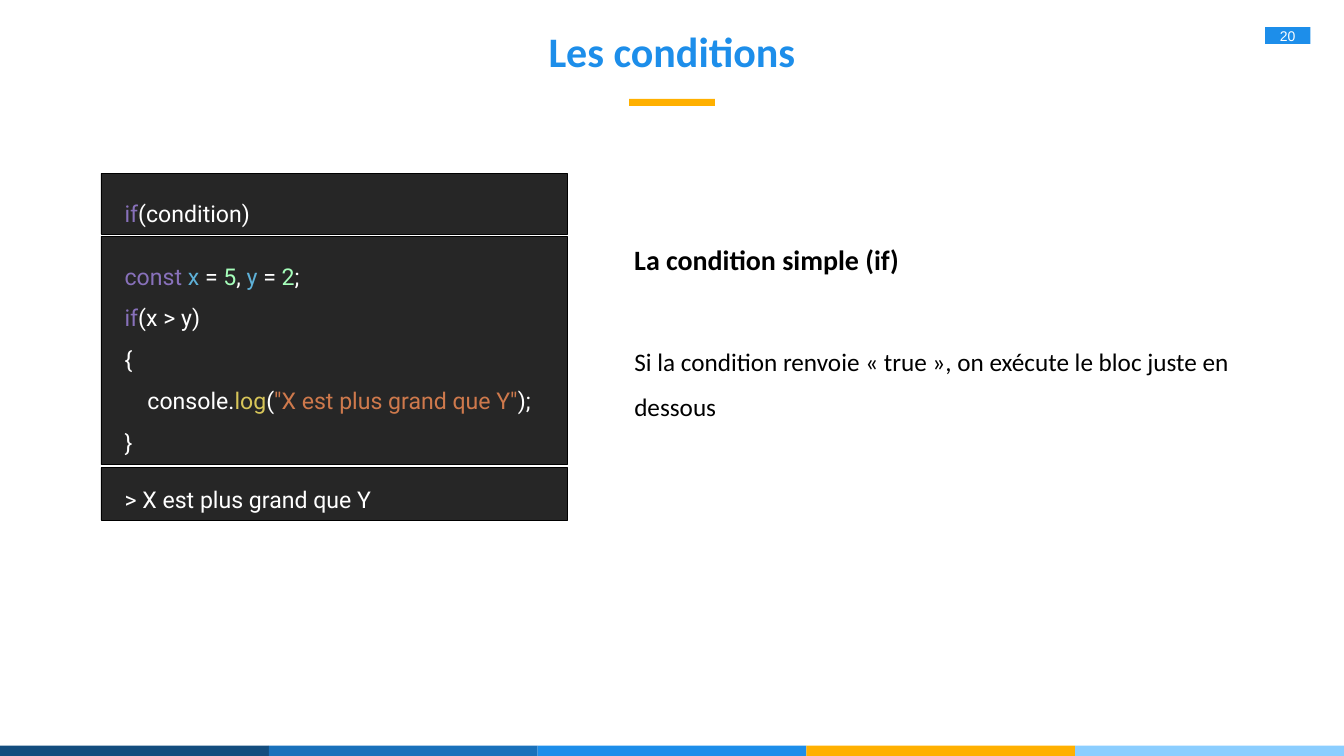
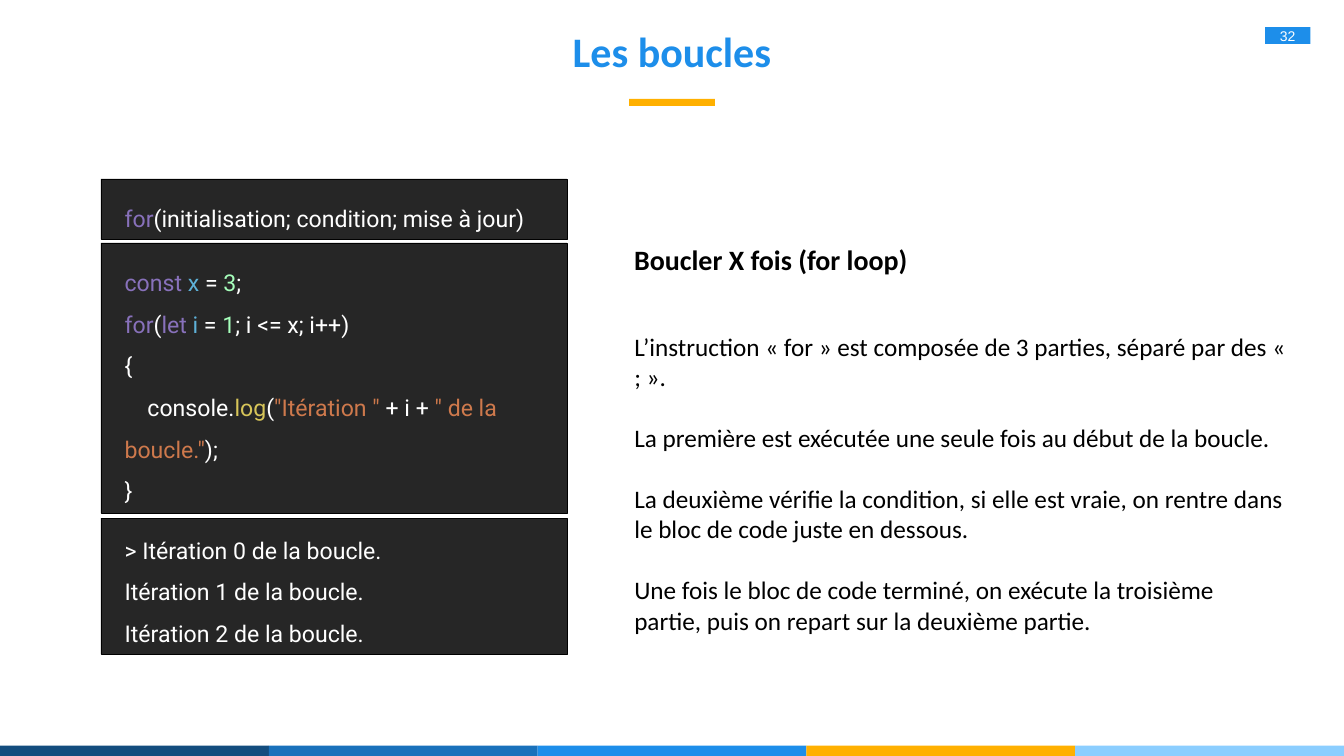
from pptx import Presentation
from pptx.dml.color import RGBColor
from pptx.enum import shapes, text
from pptx.util import Pt

WIDE, HIGH = 1920, 1080
HEX = {
    "navy": "134D7E", "mid": "1971BB", "blue": "1D8EEA", "gold": "FFB000",
    "sky": "8BCEFF", "white": "FFFFFF", "black": "000000", "panel": "262626",
    "key": "8871BB", "var": "5EB1D8", "num": "A6FFBB", "call": "D7C559",
    "str": "CE794C",
}
BANDS = ["navy", "mid", "blue", "gold", "sky"]

SLIDES = [
    {
        "title": "Les conditions",
        "page": "20",
        "panels": [
            (247.7, 86.4, 17, [[("if", "key"), ("(condition)", "white")]]),
            (337.7, 326.2, 17, [
                [("const ", "key"), ("x", "var"), (" = ", "white"),
                 ("5", "num"), (", ", "white"), ("y", "var"),
                 (" = ", "white"), ("2", "num"), (";", "white")],
                [("if", "key"), ("(x > y)", "white")],
                "{",
                [("    console.", "white"), ("log", "call"), ("(", "white"),
                 ('"X est plus grand que Y"', "str"), (");", "white")],
                "}",
            ]),
            (668.2, 74.9, 5.76, ["> X est plus grand que Y"]),
        ],
        "head": "La condition simple (if)",
        "body": ["Si la condition renvoie « true », on exécute le bloc juste en dessous"],
        "size": (960, 131),
        "pitch": 1.5,
    },
    {
        "title": "Les boucles",
        "page": "32",
        "panels": [
            (255.6, 86.4, 17, [
                [("for", "key"), ("(initialisation; condition; mise à jour)", "white")],
            ]),
            (347, 386, 17, [
                [("const ", "key"), ("x", "var"), (" = ", "white"),
                 ("3", "num"), (";", "white")],
                [("for", "key"), ("(", "white"), ("let ", "key"), ("i", "var"),
                 (" = ", "white"), ("1", "num"), ("; i <= x; i++)", "white")],
                "{",
                [("    console.", "white"), ("log", "call"), ("(", "white"),
                 ('"Itération "', "str"), (" + i + ", "white"),
                 ('" de la boucle."', "str"), (");", "white")],
                "}",
            ]),
            (740.2, 194.4, 5.76, [
                "> Itération 0 de la boucle.",
                "Itération 1 de la boucle.",
                "Itération 2 de la boucle.",
            ]),
        ],
        "head": "Boucler X fois (for loop)",
        "body": [
            "L’instruction « for » est composée de 3 parties, séparé par des « ; ».",
            "La première est exécutée une seule fois au début de la boucle.",
            "La deuxième vérifie la condition, si elle est vraie, on rentre dans le bloc de code juste en dessous.",
            "Une fois le bloc de code terminé, on exécute la troisième partie, puis on repart sur la deuxième partie.",
        ],
        "size": (946, 444),
        "pitch": 1.0,
    },
]


def tint(name):
    return RGBColor.from_string(HEX[name])


def write(shape, lines, font="Calibri", size=36, color="black", bold=False,
          align=text.PP_ALIGN.LEFT, anchor=text.MSO_ANCHOR.TOP,
          inset=(7.2, 3.6, 7.2, 3.6), pitch=1.0, gap=0):
    frame = shape.text_frame
    frame.word_wrap = True
    frame.auto_size = text.MSO_AUTO_SIZE.NONE
    frame.vertical_anchor = anchor
    (frame.margin_left, frame.margin_top,
     frame.margin_right, frame.margin_bottom) = map(Pt, inset)
    for i, line in enumerate(lines):
        para = frame.add_paragraph() if i else frame.paragraphs[0]
        para.alignment = align
        para.line_spacing = pitch
        para.space_before = Pt(gap if i else 0)
        for part, hue in [(line, color)] if isinstance(line, str) else line:
            run = para.add_run()
            run.text = part
            run.font.name = font
            run.font.size = Pt(size)
            run.font.bold = bold
            run.font.color.rgb = tint(hue)


def block(slide, box, fill, edge=None):
    shape = slide.shapes.add_shape(shapes.MSO_SHAPE.RECTANGLE, *map(Pt, box))
    shape.shadow.inherit = False
    shape.fill.solid()
    shape.fill.fore_color.rgb = tint(fill)
    if edge:
        shape.line.color.rgb = tint(edge)
        shape.line.width = Pt(0.75)
    else:
        shape.line.fill.background()
    return shape


def label(slide, box, lines, **form):
    write(slide.shapes.add_textbox(*map(Pt, box)), lines, **form)


def frame_up(slide, title, page):
    step = WIDE / len(BANDS)
    for i, hue in enumerate(BANDS):
        block(slide, (i * step, HIGH - 15, step, 15), hue)
    block(slide, ((WIDE - 122.4) / 2, 141.2, 122.4, 10), "gold")
    middle = {"align": text.PP_ALIGN.CENTER, "anchor": text.MSO_ANCHOR.MIDDLE}
    write(block(slide, (1807.2, 38.9, 64.8, 23.8), "blue"), [page],
          font="Arial", size=20, color="white", inset=(0, 0, 0, 0), **middle)
    head = slide.shapes.title
    head.left, head.top, head.width, head.height = map(Pt, (0, 0, WIDE, 146))
    write(head, [title], size=60, color="blue", bold=True, **middle)


def build(deck, data):
    slide = deck.slides.add_slide(deck.slide_layouts[5])
    frame_up(slide, data["title"], data["page"])
    for top, high, pad, code in data["panels"]:
        panel = block(slide, (144, top, 666, high), "panel", "black")
        write(panel, code, font="Roboto", size=33, color="white",
              inset=(34, pad, 34, 17), pitch=1.5)
    label(slide, (872, 329, 464, 83), [data["head"]], size=40, bold=True,
          anchor=text.MSO_ANCHOR.MIDDLE, inset=(34, 17, 34, 17))
    label(slide, (899, 469.5, *data["size"]), data["body"],
          pitch=data["pitch"], gap=44)


def main():
    deck = Presentation()
    deck.slide_width, deck.slide_height = Pt(WIDE), Pt(HIGH)
    for data in SLIDES:
        build(deck, data)
    deck.save("out.pptx")


if __name__ == "__main__":
    main()
